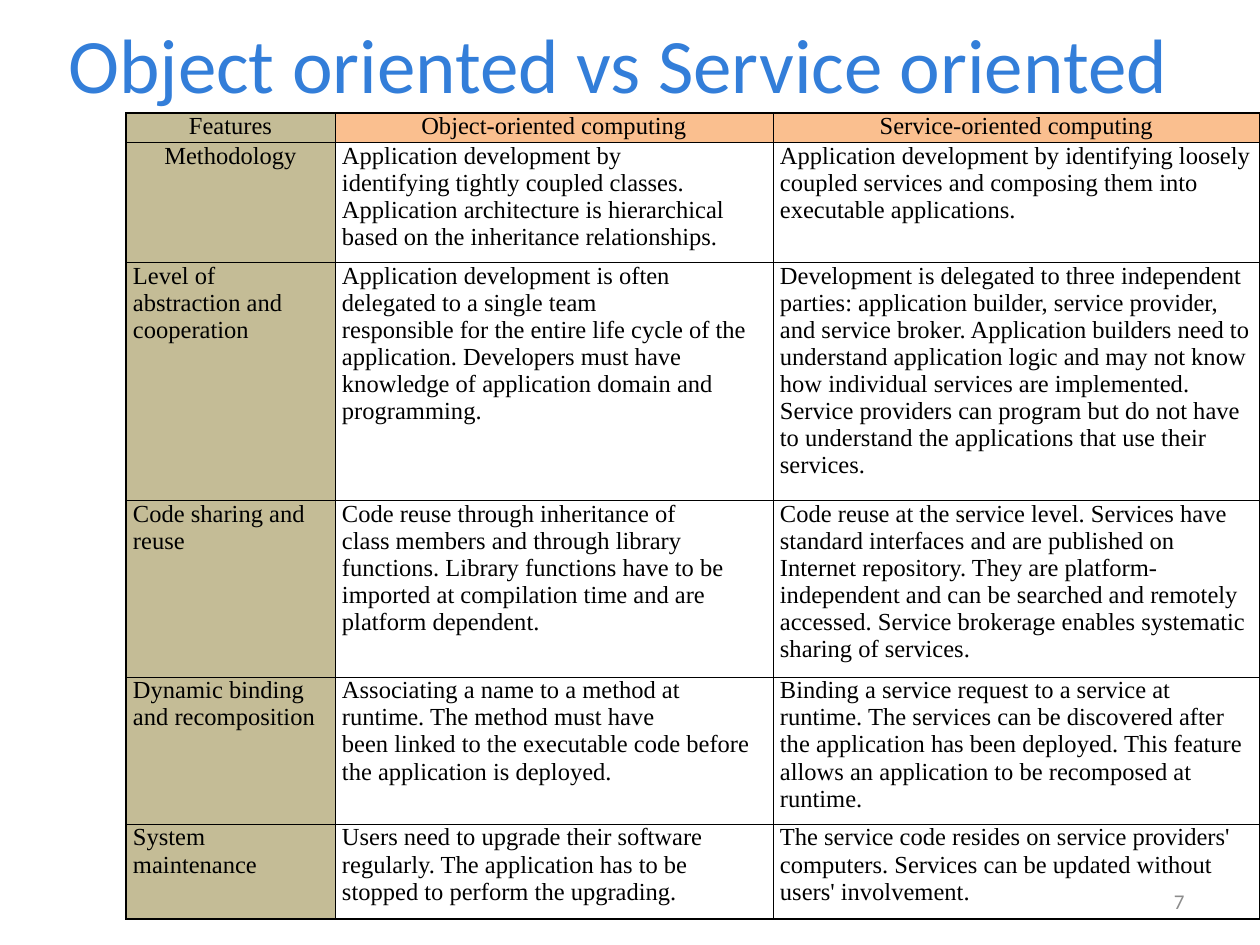
from dataclasses import dataclass

from lxml.etree import SubElement
from pptx import Presentation
from pptx.dml.color import RGBColor
from pptx.enum.text import MSO_ANCHOR, PP_ALIGN
from pptx.oxml.ns import qn
from pptx.util import Emu, Pt

PX = 914400 / 126
COLORS = {
    "title": "337ED9",
    "number": "8C8C8C",
    "ink": "000000",
    "feature": "C4BC96",
    "heading": "FABF8F",
}
COLUMNS = (209, 438, 487)
HEADINGS = ("Features", "Object-oriented computing", "Service-oriented computing")
HEADING_HEIGHT = 27
THICK, THIN = Pt(1), Pt(0.5)


@dataclass(frozen=True)
class TextStyle:
    font: str
    size: int
    color: str
    align: PP_ALIGN = PP_ALIGN.LEFT


@dataclass(frozen=True)
class Feature:
    """One comparison row; a line break in a text starts a new paragraph."""
    height: int
    name: str
    objects: str
    services: str
    name_align: PP_ALIGN = PP_ALIGN.LEFT


FEATURES = (
    Feature(
        120, "Methodology",
        "Application development by\n"
        "identifying tightly coupled classes. Application architecture is hierarchical "
        "based on the inheritance relationships.",
        "Application development by identifying loosely coupled services and composing "
        "them into executable applications.",
        PP_ALIGN.CENTER,
    ),
    Feature(
        238, "Level of abstraction and cooperation",
        "Application development is often\n"
        "delegated to a single team\n"
        "responsible for the entire life cycle of the application. Developers must have "
        "knowledge of application domain and programming.",
        "Development is delegated to three independent parties: application builder, "
        "service provider, and service broker. Application builders need to understand "
        "application logic and may not know\n"
        "how individual services are implemented. Service providers can program but do "
        "not have to understand the applications that use their services.",
    ),
    Feature(
        167, "Code sharing and reuse",
        "Code reuse through inheritance of\n"
        "class members and through library functions. Library functions have to be "
        "imported at compilation time and are platform dependent.",
        "Code reuse at the service level. Services have standard interfaces and are "
        "published on Internet repository. They are platform-independent and can be "
        "searched and remotely accessed. Service brokerage enables systematic sharing "
        "of services.",
    ),
    Feature(
        143, "Dynamic binding and recomposition",
        "Associating a name to a method at runtime. The method must have\n"
        "been linked to the executable code before the application is deployed.",
        "Binding a service request to a service at runtime. The services can be "
        "discovered after the application has been deployed. This feature allows an "
        "application to be recomposed at runtime.",
    ),
    Feature(
        95, "System maintenance",
        "Users need to upgrade their software regularly. The application has to be "
        "stopped to perform the upgrading.",
        "The service code resides on service providers' computers. Services can be "
        "updated without users' involvement.",
    ),
)


def px(length: int) -> Emu:
    return Emu(round(length * PX))


def write(frame, text: str, style: TextStyle) -> None:
    frame.text = text
    frame.word_wrap = True
    for para in frame.paragraphs:
        para.alignment = style.align
        for span in para.runs:
            for name, value in {"name": style.font, "size": Pt(style.size)}.items():
                setattr(span.font, name, value)
            span.font.color.rgb = RGBColor.from_string(COLORS[style.color])


def place(shape, left: int, top: int, width: int, height: int) -> None:
    box = {"left": left, "top": top, "width": width, "height": height}
    for name, value in box.items():
        setattr(shape, name, px(value))


def draw_borders(cell, widths: dict[str, int]) -> None:
    """Line the sides L, R, T and B; call this before the cell gets its fill."""
    properties = cell._tc.get_or_add_tcPr()
    for side, width in widths.items():
        line = SubElement(properties, qn(f"a:ln{side}"), w=str(int(width)))
        fill = SubElement(line, qn("a:solidFill"))
        SubElement(fill, qn("a:srgbClr"), val=COLORS["ink"])


def fill_cell(cell, text: str, align: PP_ALIGN, color: str | None) -> None:
    write(cell.text_frame, text, TextStyle("Times New Roman", 14, "ink", align))
    margins = {"margin_left": 7, "margin_right": 7, "margin_top": 0, "margin_bottom": 0}
    for name, value in margins.items():
        setattr(cell, name, px(value))
    if color:
        cell.fill.solid()
        cell.fill.fore_color.rgb = RGBColor.from_string(COLORS[color])
    else:
        cell.fill.background()


def add_comparison(page) -> None:
    heights = (HEADING_HEIGHT, *(feature.height for feature in FEATURES))
    last_row, last_column = len(FEATURES), len(COLUMNS) - 1
    table = page.shapes.add_table(
        len(heights), len(COLUMNS), px(126), px(113), px(sum(COLUMNS)), px(sum(heights))
    ).table
    table.first_row = table.horz_banding = False
    for column, width in zip(table.columns, COLUMNS):
        column.width = px(width)
    for row, height in zip(table.rows, heights):
        row.height = px(height)

    contents = [HEADINGS]
    contents += [(feature.name, feature.objects, feature.services) for feature in FEATURES]
    for r, texts in enumerate(contents):
        for c, text in enumerate(texts):
            cell = table.cell(r, c)
            draw_borders(cell, {
                "L": THICK if c == 0 else THIN,
                "R": THICK if c == last_column else THIN,
                "T": THICK if r <= 1 else THIN,
                "B": THICK if r in (0, last_row) else THIN,
            })
            if r == 0:
                align = PP_ALIGN.CENTER
            else:
                align = FEATURES[r - 1].name_align if c == 0 else PP_ALIGN.LEFT
            color = "feature" if c == 0 else "heading" if r == 0 else None
            fill_cell(cell, text, align, color)


def main() -> None:
    deck = Presentation()
    deck.slide_width, deck.slide_height = px(1260), px(945)
    page = deck.slides.add_slide(deck.slide_layouts[5])

    title = page.shapes.title
    place(title, 41, 0, 1155, 126)
    write(title.text_frame, "Object oriented vs Service oriented",
          TextStyle("Calibri", 44, "title", PP_ALIGN.CENTER))
    title.text_frame.vertical_anchor = MSO_ANCHOR.MIDDLE

    number = page.shapes.add_textbox(px(903), px(876), px(294), px(50))
    write(number.text_frame, "7", TextStyle("Calibri", 12, "number", PP_ALIGN.RIGHT))
    number.text_frame.vertical_anchor = MSO_ANCHOR.MIDDLE

    add_comparison(page)
    deck.save("out.pptx")


if __name__ == "__main__":
    main()
